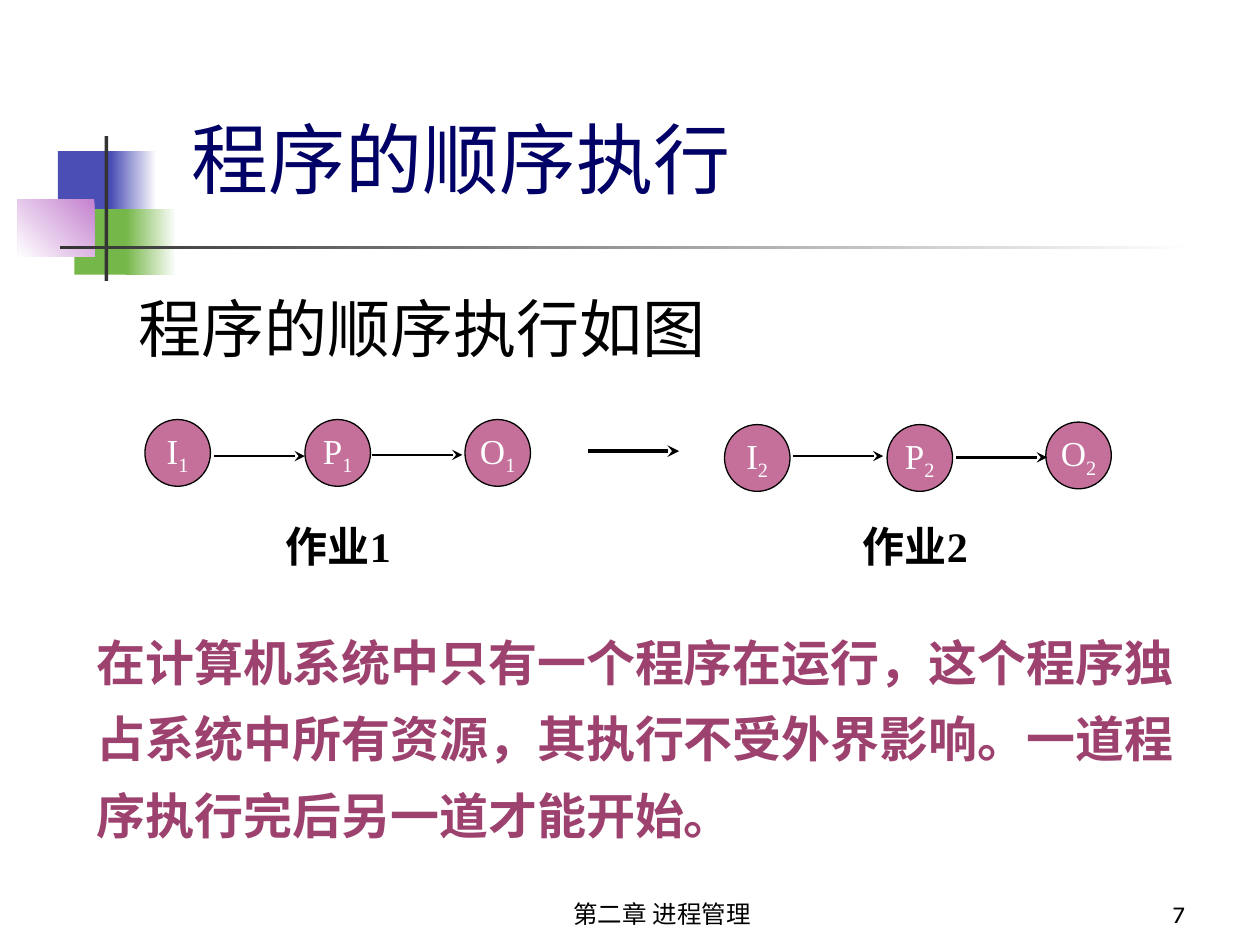
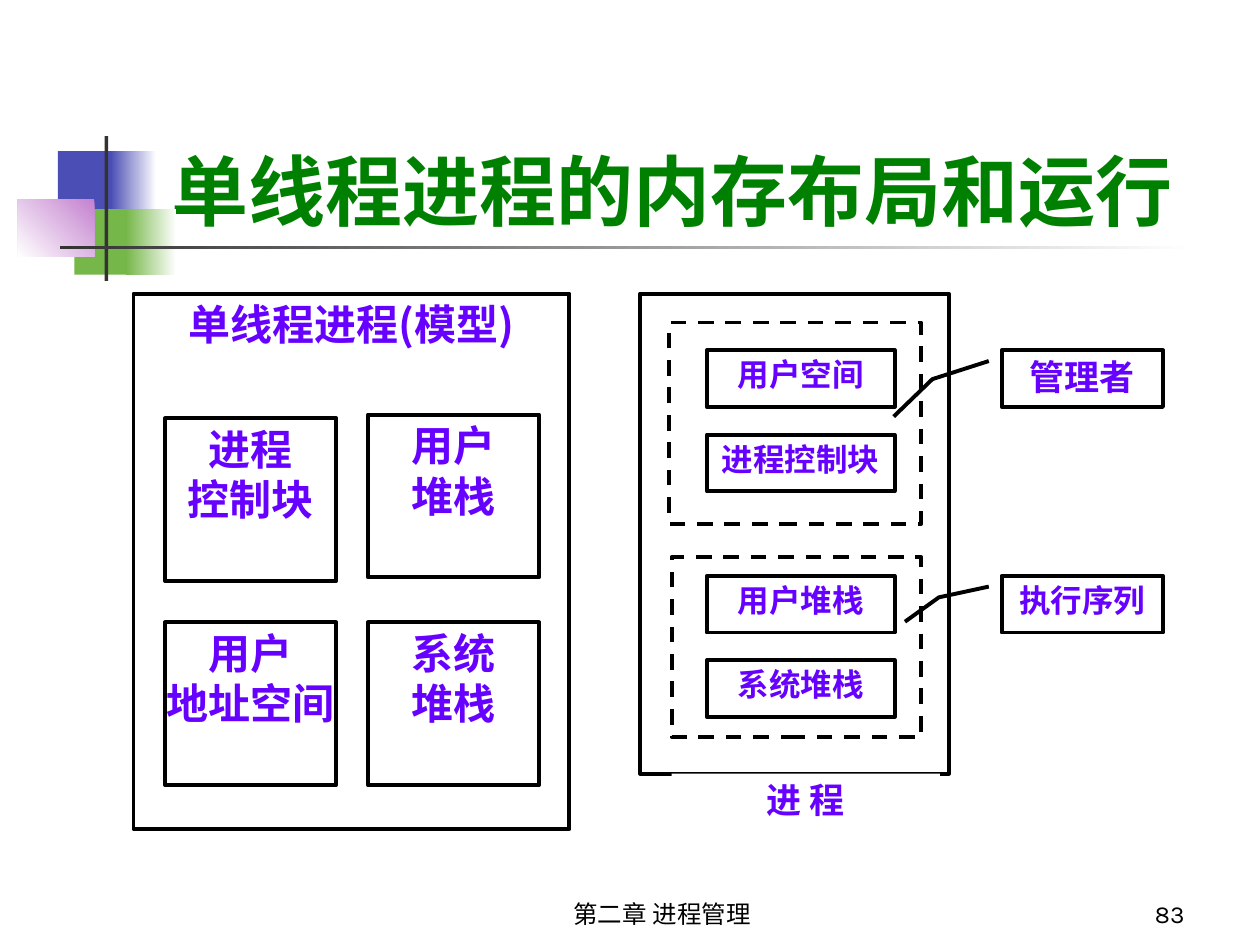
"""Build two slides on sequential execution and single-threaded process layout."""
from dataclasses import dataclass
from typing import Optional

from lxml.etree import SubElement
from pptx import Presentation
from pptx.dml.color import RGBColor
from pptx.enum.dml import MSO_LINE
from pptx.enum.shapes import MSO_CONNECTOR, MSO_SHAPE
from pptx.enum.text import MSO_ANCHOR, MSO_AUTO_SIZE, PP_ALIGN
from pptx.oxml.ns import qn
from pptx.slide import Slide
from pptx.util import Inches, Pt

BLACK = RGBColor(0x00, 0x00, 0x00)
WHITE = RGBColor(0xFF, 0xFF, 0xFF)
BLUE = RGBColor(0x4B, 0x4E, 0xB5)
GREEN = RGBColor(0x76, 0xB7, 0x49)
LILAC = RGBColor(0xC4, 0x81, 0xCF)
CHARCOAL = RGBColor(0x33, 0x33, 0x33)
NAVY = RGBColor(0x00, 0x00, 0x66)
TITLE_GREEN = RGBColor(0x00, 0x80, 0x00)
ROSE = RGBColor(0xC4, 0x70, 0x9A)
PLUM = RGBColor(0x9D, 0x41, 0x6F)
VIOLET = RGBColor(0x66, 0x00, 0xFF)

CJK = "Noto Sans CJK SC"
SERIF = "Times New Roman"
SANS = "Karla"
FOOTER = "第二章 进程管理"


@dataclass(frozen=True)
class Area:
    left: float
    top: float
    width: float
    height: float

    def lengths(self) -> tuple:
        return tuple(Inches(v) for v in (self.left, self.top, self.width, self.height))


@dataclass(frozen=True)
class Style:
    size: float
    color: RGBColor
    font: str = CJK
    bold: bool = False
    align: PP_ALIGN = PP_ALIGN.LEFT
    anchor: MSO_ANCHOR = MSO_ANCHOR.TOP
    spacing: float = 1.0


@dataclass(frozen=True)
class Ornament:
    area: Area
    start: RGBColor
    end: Optional[RGBColor] = None
    angle: float = 180


@dataclass(frozen=True)
class Box:
    area: Area
    text: str = ""
    size: float = 18
    fill: Optional[RGBColor] = WHITE
    border: bool = True
    dashed: bool = False
    leader: tuple = ()


@dataclass(frozen=True)
class Job:
    number: str
    lefts: tuple
    tops: tuple
    caption_left: float


@dataclass(frozen=True)
class Arrow:
    start: float
    y: float
    width: float = 1.5


ORNAMENTS = (
    Ornament(Area(0.46, 1.2, 0.48, 0.52), BLUE),
    Ornament(Area(0.88, 1.2, 0.36, 0.52), WHITE, BLUE),
    Ornament(Area(0.59, 1.66, 0.46, 0.52), GREEN),
    Ornament(Area(1, 1.66, 0.4, 0.52), WHITE, GREEN),
    Ornament(Area(0.14, 1.58, 0.61, 0.46), LILAC, WHITE, 225),
    Ornament(Area(0.83, 1.08, 0.03, 1.15), CHARCOAL),
    Ornament(Area(0.48, 1.95, 9, 0.03), WHITE, CHARCOAL),
)
JOBS = (
    Job("1", (1.15, 2.42, 3.69), (3.33, 3.33, 3.33), 2.17),
    Job("2", (5.75, 7.04, 8.3), (3.37, 3.37, 3.35), 6.75),
)
ARROWS = (
    Arrow(1.7, 3.62),
    Arrow(2.95, 3.61),
    Arrow(4.67, 3.58, 2.25),
    Arrow(6.29, 3.62),
    Arrow(7.59, 3.63),
)
ARROW_LENGTH = 0.72


def inner(top: float, text: str) -> Box:
    return Box(Area(5.61, top, 1.49, 0.45), text)


def model_part(left: float, top: float, text: str) -> Box:
    return Box(Area(left, top, 1.36, 1.29), text, 24)


BOXES = (
    Box(Area(5.08, 2.33, 2.45, 3.81), fill=None),
    Box(Area(5.33, 6.14, 2.13, 0.45), "进 程", 20, border=False),
    inner(2.78, "用户空间"),
    inner(3.45, "进程控制块"),
    inner(4.57, "用户堆栈"),
    inner(5.24, "系统堆栈"),
    Box(Area(7.95, 2.78, 1.28, 0.45), "管理者", 20,
        leader=(0.19, -0.08, 0.51, -0.43, 1.17, -0.67)),
    Box(Area(7.95, 4.57, 1.28, 0.45), "执行序列",
        leader=(0.19, -0.08, 0.38, -0.39, 0.81, -0.6)),
    Box(Area(5.31, 2.56, 2, 1.6), fill=None, dashed=True),
    Box(Area(5.33, 4.42, 1.98, 1.43), fill=None, dashed=True),
    Box(Area(1.06, 2.33, 3.46, 4.25), "单线程进程(模型)", 24),
    model_part(1.31, 3.32, "进程\n控制块"),
    model_part(2.92, 3.29, "用户\n堆栈"),
    model_part(1.31, 4.94, "用户\n地址空间"),
    model_part(2.92, 4.94, "系统\n堆栈"),
)


def format_run(r, style: Style) -> None:
    r.font.size = Pt(style.size)
    r.font.bold = style.bold
    r.font.color.rgb = style.color
    r.font.name = style.font
    SubElement(r._r.get_or_add_rPr(), qn("a:ea")).set("typeface", CJK)


def write(sp, text: str, style: Style) -> None:
    tf = sp.text_frame
    tf.text = text
    tf.word_wrap = True
    tf.auto_size = MSO_AUTO_SIZE.NONE
    tf.vertical_anchor = style.anchor
    for p in tf.paragraphs:
        p.alignment = style.align
        p.line_spacing = style.spacing
        p.space_before = Pt(0)
        for r in p.runs:
            format_run(r, style)


def place(sp, area: Area) -> None:
    sp.left, sp.top, sp.width, sp.height = area.lengths()


def add_text(slide: Slide, area: Area, text: str, style: Style) -> None:
    write(slide.shapes.add_textbox(*area.lengths()), text, style)


def add_plain(slide: Slide, kind: MSO_SHAPE, area: Area):
    sp = slide.shapes.add_shape(kind, *area.lengths())
    sp.shadow.inherit = False
    return sp


def add_ornament(slide: Slide, item: Ornament) -> None:
    sp = add_plain(slide, MSO_SHAPE.RECTANGLE, item.area)
    sp.line.fill.background()
    if item.end is None:
        sp.fill.solid()
        sp.fill.fore_color.rgb = item.start
        return
    sp.fill.gradient()
    sp.fill.gradient_angle = item.angle
    for stop, color in zip(sp.fill.gradient_stops, (item.start, item.end)):
        stop.color.rgb = color


def add_frame(prs, layout: int, title: str, area: Area, style: Style, number: str) -> Slide:
    slide = prs.slides.add_slide(prs.slide_layouts[layout])
    for item in ORNAMENTS:
        add_ornament(slide, item)
    place(slide.shapes.title, area)
    write(slide.shapes.title, title, style)
    for left, width, text, align in (
        (3.67, 3.17, FOOTER, PP_ALIGN.CENTER),
        (7.42, 2.08, number, PP_ALIGN.RIGHT),
    ):
        add_text(slide, Area(left, 6.92, width, 0.5), text,
                 Style(14, BLACK, SANS, align=align, anchor=MSO_ANCHOR.BOTTOM))
    return slide


def add_node(slide: Slide, left: float, top: float, letter: str, number: str) -> None:
    sp = add_plain(slide, MSO_SHAPE.OVAL, Area(left, top, 0.52, 0.53))
    sp.fill.solid()
    sp.fill.fore_color.rgb = ROSE
    sp.line.color.rgb = BLACK
    sp.line.width = Pt(0.75)
    style = Style(20, WHITE, SERIF, align=PP_ALIGN.CENTER, anchor=MSO_ANCHOR.MIDDLE)
    write(sp, letter, style)
    sp.text_frame.word_wrap = False
    r = sp.text_frame.paragraphs[0].add_run()
    r.text = number
    format_run(r, style)
    r._r.get_or_add_rPr().set("baseline", "-25000")


def add_arrow(slide: Slide, arrow: Arrow) -> None:
    y = Inches(arrow.y)
    cn = slide.shapes.add_connector(
        MSO_CONNECTOR.STRAIGHT, Inches(arrow.start), y, Inches(arrow.start + ARROW_LENGTH), y)
    cn.line.color.rgb = BLACK
    cn.line.width = Pt(arrow.width)
    SubElement(cn.line._get_or_add_ln(), qn("a:tailEnd")).set("type", "stealth")
    SubElement(cn._element.spPr, qn("a:effectLst"))


def add_box(slide: Slide, box: Box) -> None:
    kind = MSO_SHAPE.LINE_CALLOUT_2 if box.leader else MSO_SHAPE.RECTANGLE
    sp = add_plain(slide, kind, box.area)
    for i, value in enumerate(box.leader):
        sp.adjustments[i] = value
    if box.fill is None:
        sp.fill.background()
    else:
        sp.fill.solid()
        sp.fill.fore_color.rgb = box.fill
    if box.border:
        sp.line.color.rgb = BLACK
        sp.line.width = Pt(2.25)
    else:
        sp.line.fill.background()
    if box.dashed:
        sp.line.dash_style = MSO_LINE.DASH
    if box.text:
        tf = sp.text_frame
        tf.margin_left = tf.margin_right = tf.margin_bottom = Inches(0)
        tf.margin_top = Inches(0.04)
        write(sp, box.text, Style(box.size, VIOLET, bold=True, align=PP_ALIGN.CENTER))


def build_sequence(prs) -> None:
    slide = add_frame(prs, 1, "程序的顺序执行", Area(1.42, 0.68, 8.36, 0.99),
                      Style(44, NAVY, anchor=MSO_ANCHOR.BOTTOM), "7")
    body = slide.placeholders[1]
    place(body, Area(1, 2.25, 8.33, 0.83))
    body.text_frame.text = "程序的顺序执行如图"
    write(body, "程序的顺序执行如图", Style(36, BLACK))
    pPr = body.text_frame.paragraphs[0]._p.get_or_add_pPr()
    pPr.set("marL", "0")
    pPr.set("indent", "0")
    SubElement(pPr, qn("a:buNone"))
    for job in JOBS:
        for left, top, letter in zip(job.lefts, job.tops, "IPO"):
            add_node(slide, left, top, letter, job.number)
        add_text(slide, Area(job.caption_left, 4.08, 1.25, 0.5), f"作业{job.number}",
                 Style(24, BLACK, SERIF, bold=True))
    for arrow in ARROWS:
        add_arrow(slide, arrow)
    add_text(slide, Area(0.67, 4.83, 8.83, 1.92),
             "在计算机系统中只有一个程序在运行，这个程序独占系统中所有资源，"
             "其执行不受外界影响。一道程序执行完后另一道才能开始。",
             Style(28, PLUM, bold=True, spacing=1.3))


def build_layout(prs) -> None:
    slide = add_frame(prs, 5, "单线程进程的内存布局和运行", Area(1.26, 0.67, 8.52, 1.25),
                      Style(44, TITLE_GREEN, SERIF, bold=True, anchor=MSO_ANCHOR.BOTTOM), "83")
    for box in BOXES:
        add_box(slide, box)


def main() -> None:
    prs = Presentation()
    prs.slide_width, prs.slide_height = Inches(10), Inches(7.5)
    build_sequence(prs)
    build_layout(prs)
    prs.save("out.pptx")


if __name__ == "__main__":
    main()
